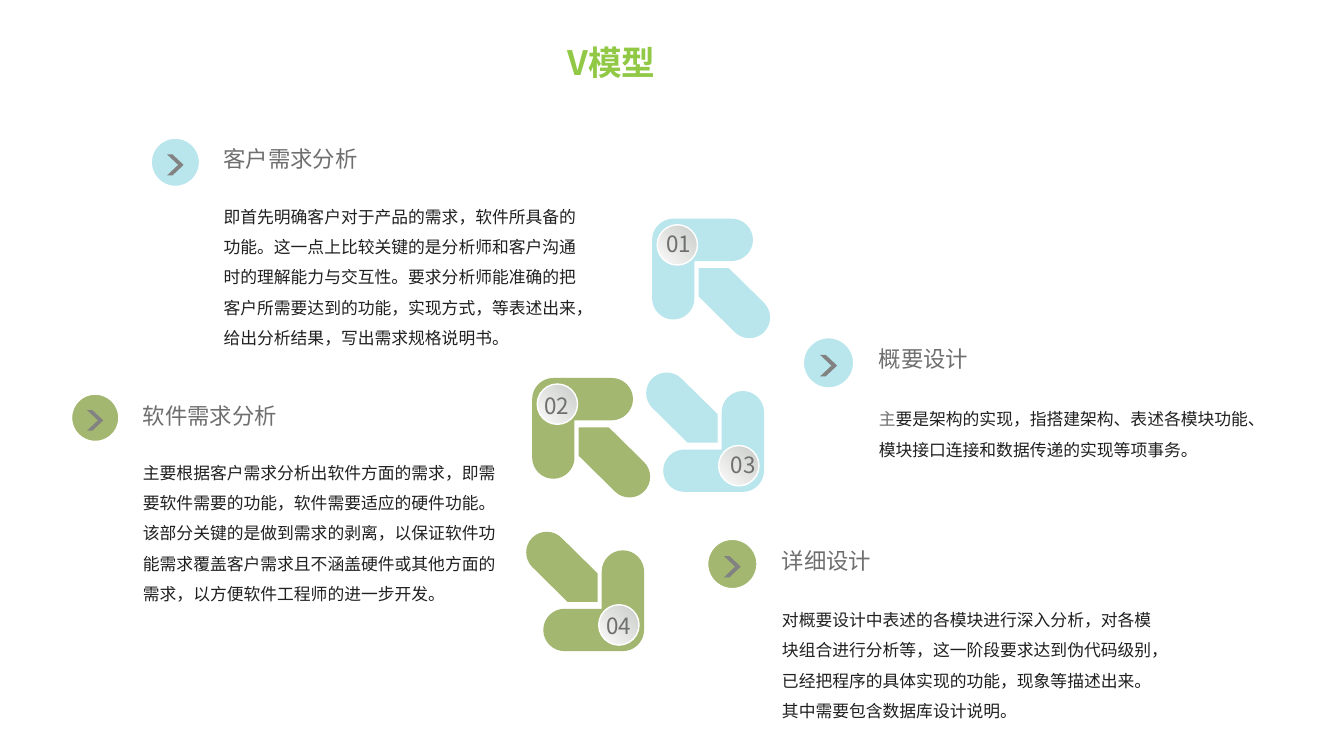
import math
from dataclasses import dataclass

from lxml import etree
from pptx import Presentation
from pptx import util as u
from pptx.dml.color import RGBColor
from pptx.enum import shapes, text
from pptx.oxml.ns import qn

PX = 9144


@dataclass(frozen=True)
class Theme:
    font: str = "Noto Sans CJK SC"
    blue: str = "B8E6EC"
    green: str = "A3B770"
    title: str = "91C845"
    heading: str = "6F6F6F"
    body: str = "202020"
    chevron: str = "828282"
    rim: str = "FFFFFF"
    badge_dark: str = "C9CBC8"
    badge_light: str = "FCFCFC"
    title_size: int = 24
    heading_size: int = 16
    body_size: int = 12


def quarter(cx, cy, radius, start):
    a, b = math.radians(start), math.radians(start + 90)
    pull = 0.55
    units = [
        (math.cos(a) - pull * math.sin(a), math.sin(a) + pull * math.cos(a)),
        (math.cos(b) + pull * math.sin(b), math.sin(b) - pull * math.cos(b)),
        (math.cos(b), math.sin(b)),
    ]
    return [(cx + radius * x, cy + radius * y) for x, y in units]


ARROW_HEAD = [
    [(21, 0)], [(79, 0)],
    quarter(79, 21, 21, -90), quarter(79, 21, 21, 0),
    [(42, 42)], [(42, 79)],
    quarter(21, 79, 21, 0), quarter(21, 79, 21, 90),
    [(0, 21)], quarter(21, 21, 21, 180),
]
ARROW_SHAFT = [
    [(46, 49)], [(76, 49)], [(111, 83.5)],
    quarter(96.5, 98, 20.5, -45), quarter(96.5, 98, 20.5, 45),
    [(46, 77)],
]


class VModelSlide:
    def __init__(self, deck, theme):
        self.theme = theme
        self.slide = deck.slides.add_slide(deck.slide_layouts[6])
        self.shapes = self.slide.shapes

    def paint(self, shape, color, rim=None):
        shape.shadow.inherit = False
        shape.fill.solid()
        shape.fill.fore_color.rgb = RGBColor.from_string(color)
        if rim:
            shape.line.color.rgb = RGBColor.from_string(rim)
            shape.line.width = u.Pt(1)
        else:
            shape.line.fill.background()

    def preset(self, kind, left, top, width, height, color, rim=None):
        shape = self.shapes.add_shape(kind, *(round(v * PX) for v in (left, top, width, height)))
        self.paint(shape, color, rim)
        return shape

    def outline(self, corner, direction, steps, color):
        placed = [[tuple(round((c + direction * d) * PX) for c, d in zip(corner, point))
                   for point in step] for step in steps]
        ends = [step[-1] for step in placed]
        builder = self.shapes.build_freeform(*ends[0], scale=1.0)
        builder.add_line_segments(ends[1:], close=True)
        shape = builder.convert_to_shape()
        self.paint(shape, color)
        segments = list(shape._element.iter(qn("a:lnTo")))
        for segment, step in zip(segments, placed[1:]):
            if len(step) == 3:
                curve = etree.Element(qn("a:cubicBezTo"))
                for x, y in step:
                    etree.SubElement(curve, qn("a:pt"), x=str(x - shape.left), y=str(y - shape.top))
                segment.getparent().replace(segment, curve)

    def label(self, left, top, width, height, parts, size, bold=False, align=None, spacing=None):
        box = self.shapes.add_textbox(left * PX, top * PX, width * PX, height * PX)
        box.text_frame.word_wrap = True
        paragraph = box.text_frame.paragraphs[0]
        paragraph.alignment = align
        paragraph.line_spacing = spacing
        for words, color in parts:
            run = paragraph.add_run()
            run.text = words
            run.font.size = u.Pt(size)
            run.font.bold = bold
            run.font.name = self.theme.font
            run.font.color.rgb = RGBColor.from_string(color)
            east_asian = etree.SubElement(run.font._element, qn("a:ea"))
            east_asian.set("typeface", self.theme.font)

    def badge(self, left, top):
        theme = self.theme
        disc = self.preset(shapes.MSO_SHAPE.OVAL, left, top, 40, 40, theme.badge_light, theme.rim)
        disc.fill.gradient()
        disc.fill.gradient_angle = 225
        for stop, color in zip(disc.fill.gradient_stops, (theme.badge_dark, theme.badge_light)):
            stop.color.rgb = RGBColor.from_string(color)

    def arrow(self, number, corner, direction, color, number_box):
        for steps in (ARROW_HEAD, ARROW_SHAFT):
            self.outline(corner, direction, steps, color)
        x, y = corner
        self.badge(x + direction * 25 - 20, y + direction * 26 - 20)
        self.label(*number_box, 37, [(number, self.theme.heading)],
                   self.theme.heading_size, align=text.PP_ALIGN.CENTER)

    def stage(self, left, top, diameter, color, heading, heading_top, parts, body_top, width, lines):
        theme = self.theme
        self.preset(shapes.MSO_SHAPE.OVAL, left, top, diameter, diameter, color, theme.rim)
        chevron = self.preset(shapes.MSO_SHAPE.CHEVRON, left + diameter * 0.33,
                              top + diameter * 0.34, diameter * 0.34, diameter * 0.43,
                              theme.chevron)
        chevron.adjustments[0] = 0.67
        text_left = left + round(diameter * 1.3)
        self.label(text_left, heading_top, 310, 37, [(heading, theme.heading)], theme.heading_size)
        self.label(text_left, body_top, width, 30 * lines + 11,
                   parts, theme.body_size, spacing=1.5)


def main():
    deck = Presentation()
    deck.slide_height = 750 * PX
    deck.slide_width = deck.slide_height * 16 // 9
    theme = Theme()
    page = VModelSlide(deck, theme)

    arrows = [
        ("01", (647, 217), 1, theme.blue, (640, 223, 67)),
        ("02", (528, 375), 1, theme.green, (525, 384, 55)),
        ("03", (758, 488), -1, theme.blue, (703, 443, 69)),
        ("04", (639, 646), -1, theme.green, (583, 602, 62)),
    ]
    for arrow in arrows:
        page.arrow(*arrow)

    stages = [
        (71, 391, 47, theme.green, "软件需求分析", 394,
         [("主要根据客户需求分析出软件方面的需求，即需要软件需要的功能，软件需要适应的硬件功能。"
           "该部分关键的是做到需求的剥离，以保证软件功能需求覆盖客户需求且不涵盖硬件或其他方面的需求，"
           "以方便软件工程师的进一步开发。", theme.body)], 444, 384, 5),
        (150, 137, 48, theme.blue, "客户需求分析", 139,
         [("即首先明确客户对于产品的需求，软件所具备的功能。这一点上比较关键的是分析师和客户沟通时的"
           "理解能力与交互性。要求分析师能准确的把客户所需要达到的功能，实现方式，等表述出来，"
           "给出分析结果，写出需求规格说明书。", theme.body)], 190, 383, 5),
        (702, 535, 49, theme.green, "详细设计", 538,
         [("对概要设计中表述的各模块进行深入分析，对各模块组合进行分析等，这一阶段要求达到伪代码级别，"
           "已经把程序的具体实现的功能，现象等描述出来。其中需要包含数据库设计说明。", theme.body)],
         590, 394, 4),
        (797, 335, 50, theme.blue, "概要设计", 338,
         [("主", theme.heading),
          ("要是架构的实现，指搭建架构、表述各模块功能、模块接口连接和数据传递的实现等项事务。",
           theme.body)], 391, 396, 2),
    ]
    for stage in stages:
        page.stage(*stage)

    page.label(553, 37, 457, 50, [("V模型", theme.title)], theme.title_size, bold=True)
    deck.save("out.pptx")


if __name__ == "__main__":
    main()
